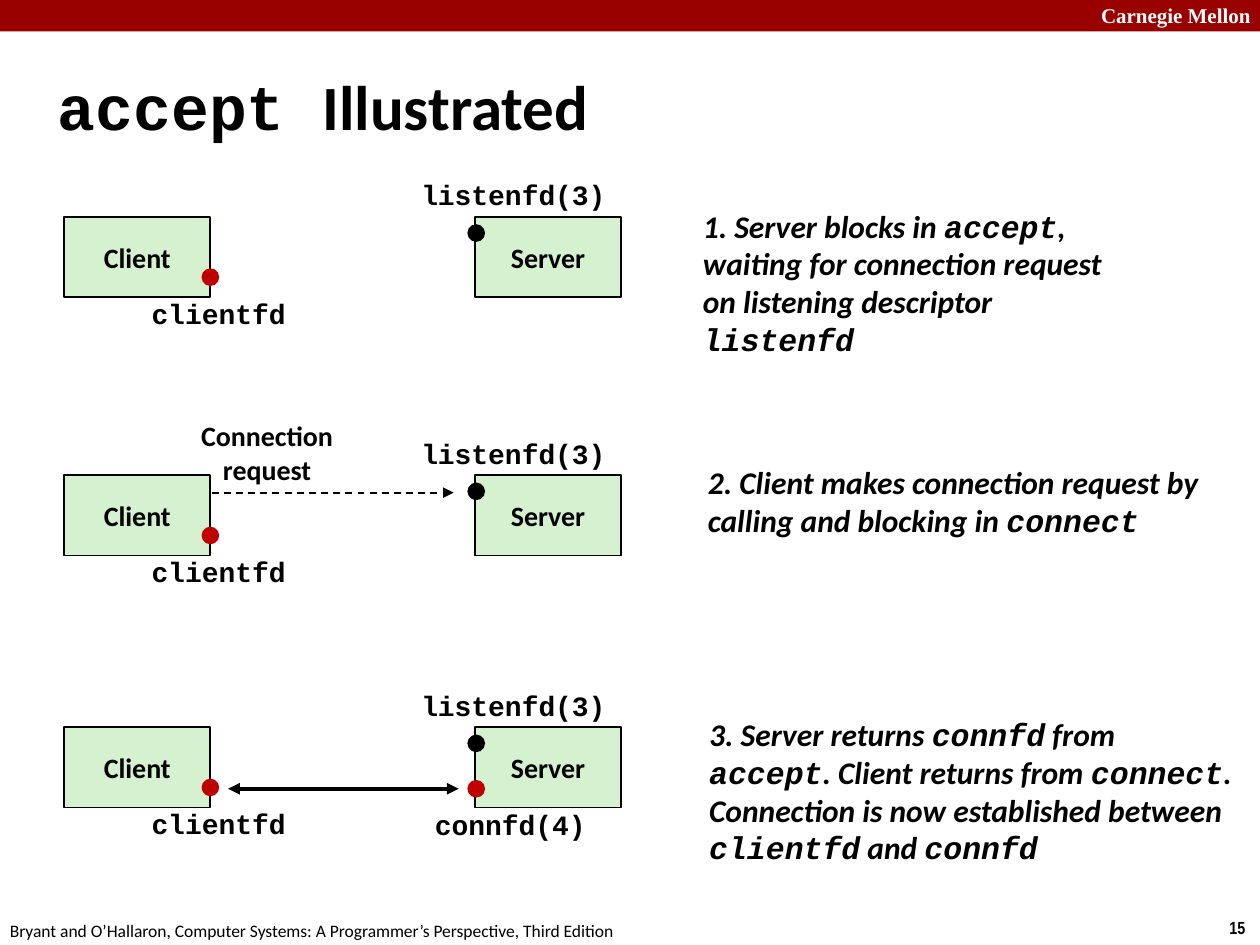
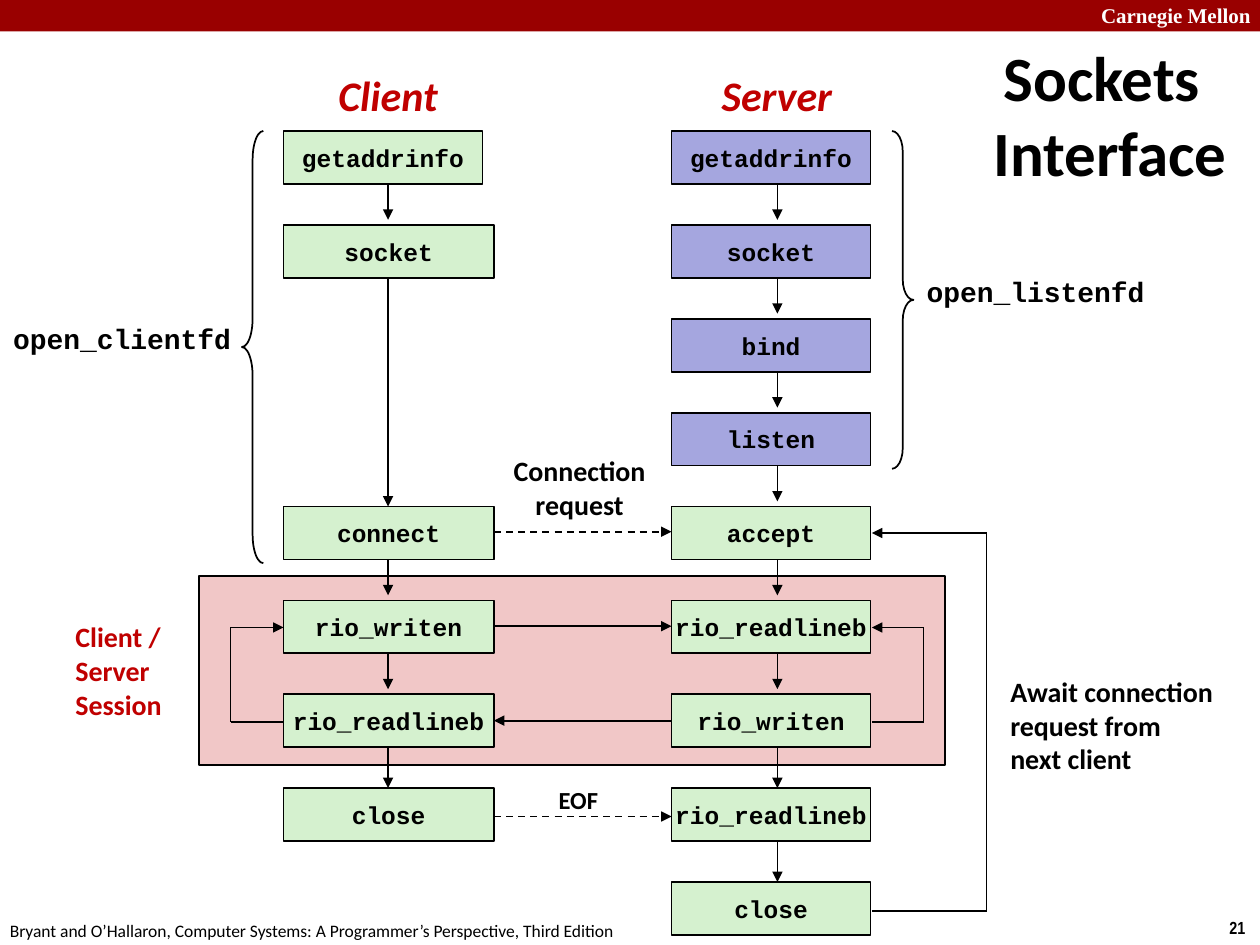
from lxml import etree
from pptx import Presentation
from pptx.dml.color import RGBColor
from pptx.enum import dml, shapes, text
from pptx.oxml.ns import qn
from pptx.util import Inches, Pt

COLOURS = {
    "band": "990000",
    "white": "FFFFFF",
    "black": "000000",
    "accent": "C00000",
    "green": "D5F1CF",
    "violet": "A5A6DF",
    "session": "F1C7C7",
}
SANS, MONO = "Calibri", "Courier New"
LEFT, CENTER = text.PP_ALIGN.LEFT, text.PP_ALIGN.CENTER
RECTANGLE = shapes.MSO_SHAPE.RECTANGLE
OVAL = shapes.MSO_SHAPE.OVAL


def add_item(slide, box, content="", kind=None, fill=None, outline=True, size=16, font=SANS,
             colour="black", bold=True, italic=False, align=CENTER, wrap=False):
    """Add a text box, or a shape of the given kind; `backticks` mark monospaced words."""
    lengths = [Inches(value) for value in box]
    if kind is None:
        shape = slide.shapes.add_textbox(*lengths)
    else:
        shape = slide.shapes.add_shape(kind, *lengths)
        shape.shadow.inherit = False
        if fill:
            shape.fill.solid()
            shape.fill.fore_color.rgb = RGBColor.from_string(COLOURS[fill])
        else:
            shape.fill.background()
        if outline:
            shape.line.color.rgb = RGBColor.from_string(COLOURS["black"])
            shape.line.width = Pt(1)
        else:
            shape.line.fill.background()
    if not content:
        return shape
    frame = shape.text_frame
    frame.word_wrap = wrap
    frame.vertical_anchor = text.MSO_ANCHOR.MIDDLE
    for index, line in enumerate(content.split("\n")):
        paragraph = frame.add_paragraph() if index else frame.paragraphs[0]
        paragraph.alignment = align
        paragraph.font.size = Pt(size)
        paragraph.font.name = font
        paragraph.font.bold = bold
        paragraph.font.italic = italic
        paragraph.font.color.rgb = RGBColor.from_string(COLOURS[colour])
        for position, words in enumerate(line.split("`")):
            if words:
                run = paragraph.add_run()
                run.text = words
                if position % 2:
                    run.font.name = MONO
    return shape


def add_path(slide, points, width=1, dashed=False, arrows=("tailEnd",)):
    """Join the points with straight connectors; the last one carries the arrowheads."""
    for start, end in zip(points, points[1:]):
        connector = slide.shapes.add_connector(
            shapes.MSO_CONNECTOR.STRAIGHT, *[Inches(value) for value in start + end])
        connector.line.color.rgb = RGBColor.from_string(COLOURS["black"])
        connector.line.width = Pt(width)
        if dashed:
            connector.line.dash_style = dml.MSO_LINE.DASH
        properties = connector._element.spPr
        etree.SubElement(properties, qn("a:effectLst"))
    outline = properties.find(qn("a:ln"))
    for arrow in arrows:
        etree.SubElement(outline, qn(f"a:{arrow}"), type="triangle")


presentation = Presentation()
presentation.slide_width = Inches(10)
presentation.slide_height = Inches(7.5)

# Shared frame: band, footers and title
slides = []
for number, title_box, title_align, title_runs in [
    ("15", (0.36, 0.52, 9.17, 0.63), LEFT, [("accept ", MONO), ("Illustrated", SANS)]),
    ("21", (7.58, 0.25, 2.33, 1.31), CENTER, [("Sockets Interface", SANS)]),
]:
    slide = presentation.slides.add_slide(presentation.slide_layouts[5])
    slides.append(slide)
    add_item(slide, (0, 0, 10, 0.25), kind=RECTANGLE, fill="band", outline=False)
    add_item(slide, (8.64, -0.03, 1.43, 0.3), "Carnegie Mellon", size=12,
             font="Times New Roman", colour="white", align=LEFT, wrap=True)
    add_item(slide, (9.66, 7.23, 0.34, 0.27), number, size=10, font="Arial Narrow", align=LEFT)
    add_item(slide, (-0.02, 7.25, 5.08, 0.27),
             "Bryant and O’Hallaron, Computer Systems: A Programmer’s Perspective, Third Edition",
             size=10, bold=False, align=LEFT)

    title = slide.shapes.title
    title.left, title.top, title.width, title.height = [Inches(value) for value in title_box]
    frame = title.text_frame
    frame.word_wrap = True
    frame.auto_size = text.MSO_AUTO_SIZE.NONE
    frame.vertical_anchor = text.MSO_ANCHOR.MIDDLE
    paragraph = frame.paragraphs[0]
    paragraph.alignment = title_align
    indent = Inches(0.13)
    paragraph._p.get_or_add_pPr().set("marL", str(indent))
    paragraph._p.get_or_add_pPr().set("indent", str(-indent))
    paragraph.font.size = Pt(36)
    paragraph.font.bold = True
    paragraph.font.color.rgb = RGBColor.from_string(COLOURS["black"])
    for words, font in title_runs:
        run = paragraph.add_run()
        run.text = words
        run.font.name = font

accept_slide, sockets_slide = slides

# accept Illustrated: one client/server pair per step
steps = [
    (1.72, (5.48, 1.59, 3.6, 1.3),
     "1. Server blocks in `accept`, waiting for connection request on listening descriptor `listenfd`"),
    (3.77, (5.52, 3.62, 4.23, 0.71),
     "2. Client makes connection request by calling and blocking in `connect`"),
    (5.77, (5.53, 5.62, 4.39, 1.31),
     "3. Server returns `connfd` from `accept`. Client returns from `connect`. "
     "Connection is now established between `clientfd` and `connfd`"),
]
for top, description_box, description in steps:
    for left, role in [(0.51, "Client"), (3.77, "Server")]:
        add_item(accept_slide, (left, top, 1.16, 0.64), role, RECTANGLE, "green")
    add_item(accept_slide, (3.24, top - 0.36, 1.67, 0.37), "listenfd(3)", font=MONO)
    add_item(accept_slide, (1.1, top + 0.58, 1.27, 0.37), "clientfd", font=MONO)
    add_item(accept_slide, (1.6, top + 0.41, 0.14, 0.14), kind=OVAL, fill="accent", outline=False)
    add_item(accept_slide, (3.71, top + 0.06, 0.14, 0.14), kind=OVAL, fill="black", outline=False)
    add_item(accept_slide, description_box, description, size=18, italic=True, align=LEFT, wrap=True)

add_item(accept_slide, (1.49, 3.27, 1.26, 0.64), "Connection\nrequest")
add_path(accept_slide, [(1.68, 3.91), (3.6, 3.91)], dashed=True)
add_item(accept_slide, (3.71, 6.19, 0.14, 0.14), kind=OVAL, fill="accent", outline=False)
add_item(accept_slide, (3.35, 6.36, 1.4, 0.37), "connfd(4)", font=MONO)
add_path(accept_slide, [(1.81, 6.26), (3.64, 6.26)], width=2.25, arrows=("headEnd", "tailEnd"))

# Sockets Interface: calls stand on nine evenly spaced rows
row_tops = [1.04 + 0.745 * row for row in range(9)]
client_left, server_left, call_height = 2.25, 5.33, 0.42
client_right, server_right = 3.92, 6.92
client_calls = {0: "getaddrinfo", 1: "socket", 4: "connect", 5: "rio_writen",
                6: "rio_readlineb", 7: "close"}
server_calls = ["getaddrinfo", "socket", "bind", "listen", "accept", "rio_readlineb",
                "rio_writen", "rio_readlineb", "close"]

add_item(sockets_slide, (1.58, 4.57, 5.92, 1.5), kind=RECTANGLE, fill="session")

for centre, rows in [(3.08, list(client_calls)), (6.17, range(9))]:
    for row, next_row in zip(rows, rows[1:]):
        gap = 0 if row >= 6 or next_row > row + 1 else 0.04
        add_path(sockets_slide, [(centre, row_tops[row] + call_height),
                                 (centre, row_tops[next_row] - gap)])

# Return loops
for side, turn, bottom, top in [
    (client_left, 1.83, 5.73, 4.98),
    (server_right, 7.33, 5.73, 4.98),
    (server_right, 7.83, 7.23, 4.23),
]:
    add_path(sockets_slide, [(side, bottom), (turn, bottom), (turn, top), (side, top)])

# Messages between client and server
for start, end, height, dashed in [
    (client_right, server_left, 4.22, True),
    (client_right, server_left, 4.97, False),
    (server_left, client_right, 5.72, False),
    (client_right, server_left, 6.48, True),
]:
    add_path(sockets_slide, [(start, height), (end, height)], dashed=dashed)

for row, call in client_calls.items():
    width = 1.67 if row else 1.58
    add_item(sockets_slide, (client_left, row_tops[row], width, call_height), call,
             RECTANGLE, "green", size=14, font=MONO)
for row, call in enumerate(server_calls):
    add_item(sockets_slide, (server_left, row_tops[row], 1.58, call_height), call,
             RECTANGLE, "violet" if row < 4 else "green", size=14, font=MONO)

for box, kind, bend in [
    ((1.92, 1.04, 0.17, 3.43), shapes.MSO_SHAPE.LEFT_BRACE, 1.33),
    ((7.08, 1.04, 0.17, 2.68), shapes.MSO_SHAPE.RIGHT_BRACE, 0.96),
]:
    brace = add_item(sockets_slide, box, kind=kind)
    brace.adjustments[0] = bend

for box, role in [((2.58, 0.5, 1, 0.5), "Client"), ((5.62, 0.5, 1.09, 0.5), "Server")]:
    add_item(sockets_slide, box, role, size=24, colour="accent", italic=True)
add_item(sockets_slide, (0, 2.5, 1.94, 0.37), "open_clientfd", font=MONO)
add_item(sockets_slide, (7.25, 2.13, 1.94, 0.37), "open_listenfd", font=MONO)
add_item(sockets_slide, (3.97, 3.55, 1.26, 0.64), "Connection\nrequest")
add_item(sockets_slide, (4.33, 6.18, 0.52, 0.34), "EOF", size=14)
add_item(sockets_slide, (0.5, 4.87, 0.92, 0.9), "Client / Server\nSession",
         colour="accent", align=LEFT, wrap=True)
add_item(sockets_slide, (7.92, 5.3, 1.83, 0.91),
         "Await connection\nrequest from\nnext client", align=LEFT)

presentation.save("out.pptx")
